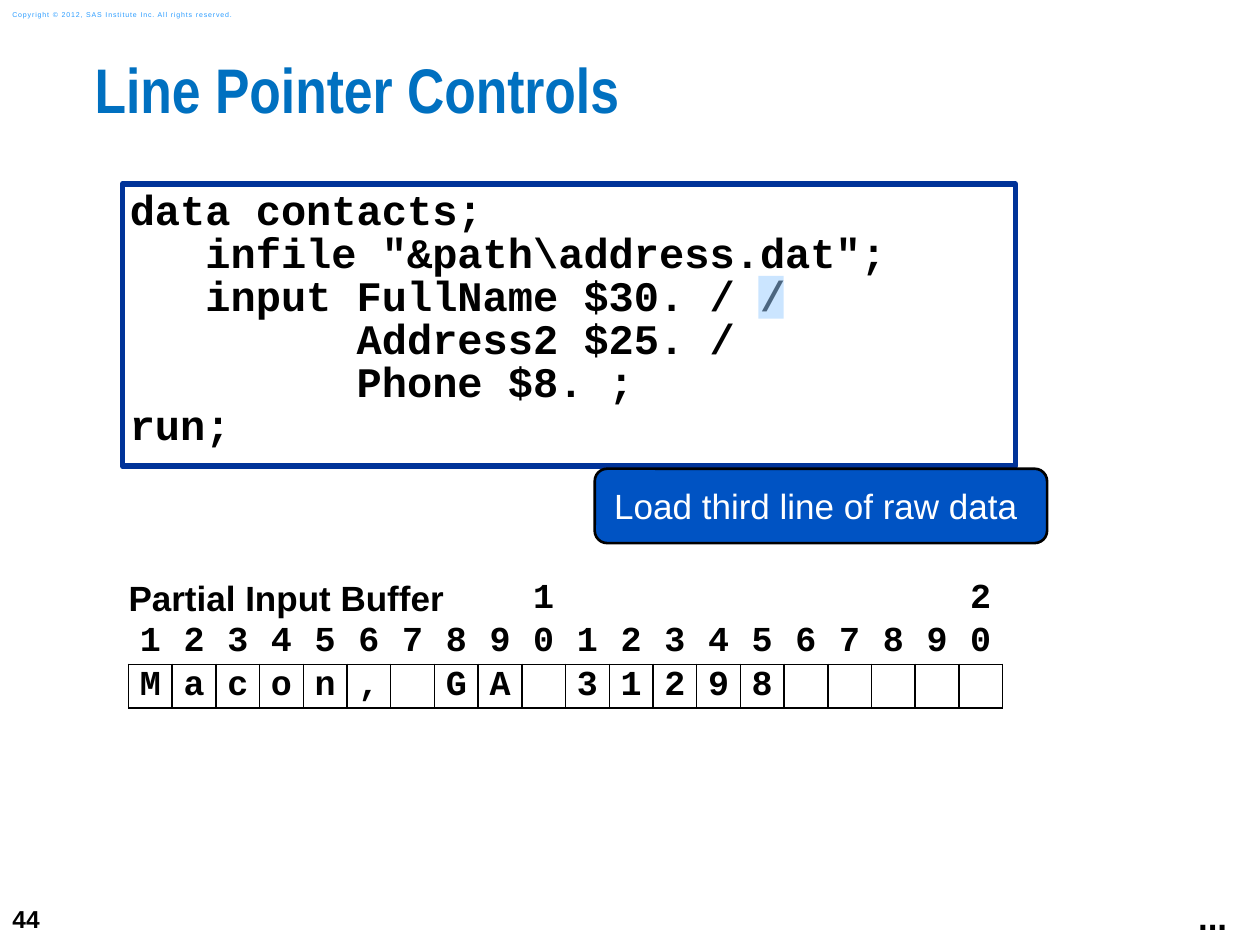
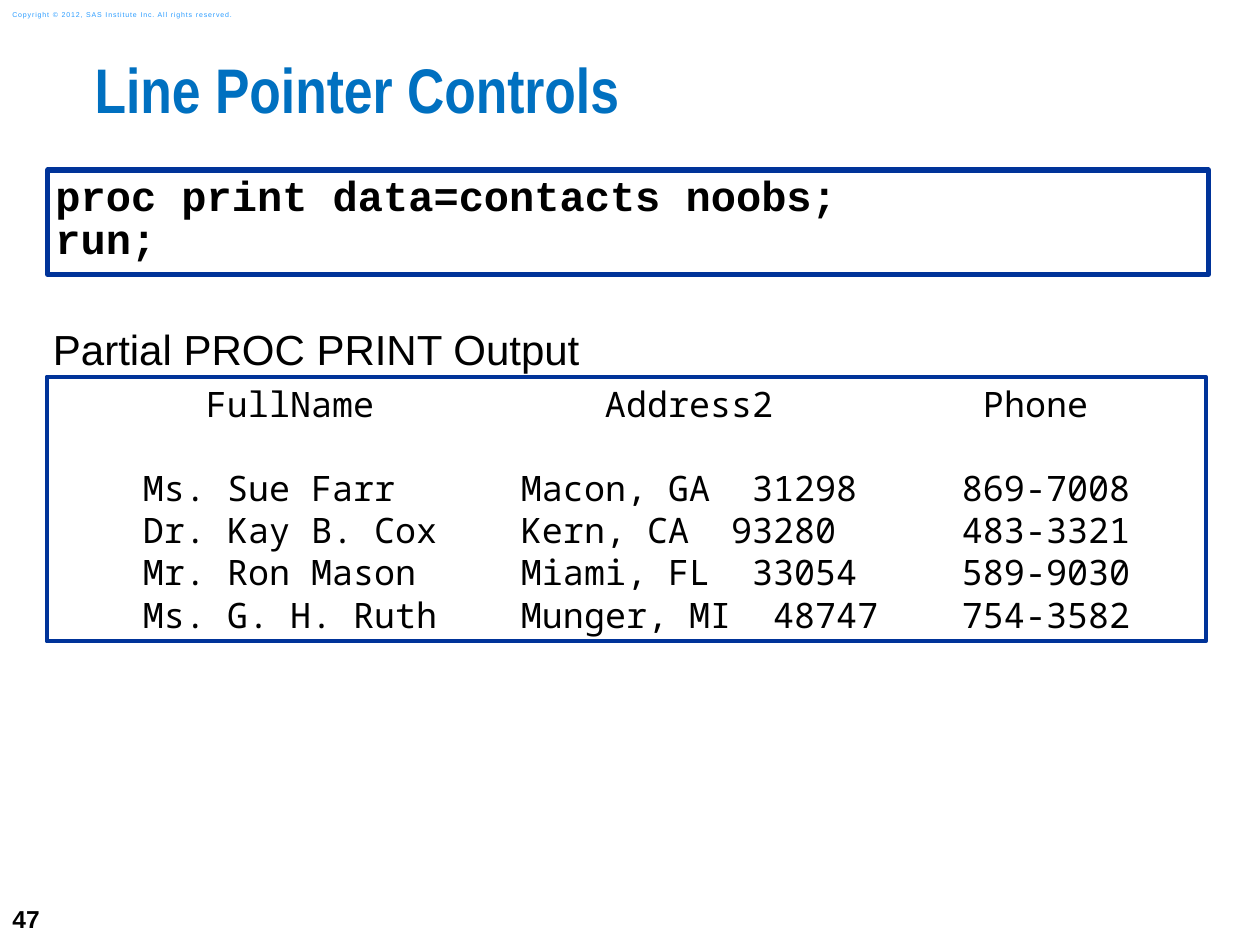
"""Build two slides on line pointer controls."""
import pptx
import pptx.dml.color
import pptx.enum.shapes
import pptx.enum.text
import pptx.oxml
import pptx.oxml.ns
import pptx.util
from lxml import etree

Inches = pptx.util.Inches
Pt = pptx.util.Pt
SHAPE = pptx.enum.shapes.MSO_SHAPE
ALIGN = pptx.enum.text.PP_ALIGN
ANCHOR = pptx.enum.text.MSO_ANCHOR
qn = pptx.oxml.ns.qn

COLORS = {
    "text": "000000",
    "white": "FFFFFF",
    "title": "0070C0",
    "copyright": "2A9CFF",
    "frame": "003399",
    "callout": "0053C3",
    "highlight": "99CCFF",
}
CODE_FONT = "Courier New"
COPYRIGHT = "Copyright © 2012, SAS Institute Inc. All rights reserved."
CODE_INSET = (0.06, 0.06, 0.06, 0.06)
NO_INSET = (0, 0, 0, 0)

INPUT_STEP = r'''data contacts;
   infile "&path\address.dat";
   input FullName $30. / /
         Address2 $25. /
         Phone $8. ;
run;'''
PRINT_STEP = """proc print data=contacts noobs;
run;"""
CONTACTS = [
    ("Ms. Sue Farr", "Macon, GA  31298", "869-7008"),
    ("Dr. Kay B. Cox", "Kern, CA  93280", "483-3321"),
    ("Mr. Ron Mason", "Miami, FL  33054", "589-9030"),
    ("Ms. G. H. Ruth", "Munger, MI  48747", "754-3582"),
]


def rgb(name):
    return pptx.dml.color.RGBColor.from_string(COLORS[name])


class Deck:
    """Hold the shared style and the current slide."""

    def __init__(self):
        self.prs = pptx.Presentation()
        self.prs.slide_width = Inches(10)
        self.prs.slide_height = Inches(7.5)
        self.s = None

    def slide(self, title, number):
        self.s = self.prs.slides.add_slide(self.prs.slide_layouts[6])
        self.text(str(number), (0, 7.08, 0.58, 0.42), 14, bold=True, anchor=ANCHOR.MIDDLE)
        sp = self.text(COPYRIGHT, (0, 0.03, 2.11, 0.17), 4, color="copyright", anchor=ANCHOR.MIDDLE)
        sp.text_frame.paragraphs[0].runs[0]._r.get_or_add_rPr().set("spc", "50")
        self.text(title, (0.75, 0.5, 9.25, 0.74), 36, font="Arial Narrow", color="title",
                  bold=True, inset=NO_INSET, spacing=0.83)

    def format(self, tf, size, font="Arial", color="text", bold=False, align=ALIGN.LEFT, spacing=None):
        for p in tf.paragraphs:
            p.alignment = align
            p.line_spacing = spacing
            for r in p.runs:
                r.font.size = Pt(size)
                r.font.name = font
                r.font.bold = bold
                r.font.color.rgb = rgb(color)

    def fill_text(self, sp, text, size, inset=(0.1, 0.05, 0.1, 0.05), anchor=ANCHOR.TOP, **style):
        tf = sp.text_frame
        tf.word_wrap = True
        tf.vertical_anchor = anchor
        tf.margin_left, tf.margin_top, tf.margin_right, tf.margin_bottom = map(Inches, inset)
        tf.text = text
        self.format(tf, size, **style)

    def text(self, text, box, size, **style):
        sp = self.s.shapes.add_textbox(*map(Inches, box))
        self.fill_text(sp, text, size, **style)
        return sp

    def shape(self, kind, box, fill, line=None, width=0):
        sp = self.s.shapes.add_shape(kind, *map(Inches, box))
        sp.shadow.inherit = False
        sp.fill.solid()
        sp.fill.fore_color.rgb = rgb(fill)
        if line:
            sp.line.color.rgb = rgb(line)
            sp.line.width = Pt(width)
        else:
            sp.line.fill.background()
        return sp

    def code(self, text, box):
        sp = self.shape(SHAPE.RECTANGLE, box, "white", "frame", 3)
        self.fill_text(sp, text, 24, inset=CODE_INSET, font=CODE_FONT, bold=True, spacing=0.85)

    def callout(self, text, box):
        sp = self.shape(SHAPE.ROUNDED_RECTANGLE, box, "callout", "text", 1.5)
        self.fill_text(sp, text, 20, anchor=ANCHOR.MIDDLE, color="white", align=ALIGN.CENTER)

    def highlight(self, box):
        sp = self.shape(SHAPE.RECTANGLE, box, "highlight")
        clr = sp.fill._xPr.find(qn("a:solidFill"))[0]
        etree.SubElement(clr, qn("a:alpha")).set("val", "50000")

    def listing(self, header, rows, box):
        sp = self.shape(SHAPE.RECTANGLE, box, "white", "frame", 2.25)
        lines = ["\t" + "\t".join(row) for row in [header, *rows]]
        self.fill_text(sp, "\n".join(lines), 20, inset=(0.1, 0.05, 0.1, 0.02), font="Noto Sans Mono")
        paragraphs = sp.text_frame.paragraphs
        for i, p in enumerate(paragraphs):
            tabs = etree.SubElement(p._p.get_or_add_pPr(), qn("a:tabLst"))
            for column in (4, 22, 43) if i else (7, 26, 44):
                tab = etree.SubElement(tabs, qn("a:tab"))
                tab.set("pos", str(Inches(column / 6)))
                tab.set("algn", "l")
        paragraphs[1].space_before = Pt(24)

    def borders(self, cell, sides):
        tcPr = cell._tc.get_or_add_tcPr()
        for i, side in enumerate("LRTB"):
            ln = etree.Element(qn("a:ln" + side), w=str(Pt(1)))
            if side in sides:
                fill = etree.SubElement(ln, qn("a:solidFill"))
                etree.SubElement(fill, qn("a:srgbClr")).set("val", COLORS["text"])
            else:
                etree.SubElement(ln, qn("a:noFill"))
            tcPr.insert(i, ln)

    def buffer(self, label, content, box):
        n = len(content)
        tens = [label] + [str(i // 10) if i % 10 == 0 else "" for i in range(2, n + 1)]
        units = [str(i % 10) for i in range(1, n + 1)]
        rows = [tens, units, content]
        tbl = self.s.shapes.add_table(3, n, *map(Inches, box)).table
        tbl.first_row = tbl.horz_banding = False
        for column in tbl.columns:
            column.width = Inches(box[2] / n)
        for row in tbl.rows:
            row.height = Inches(box[3] / 3)
        for y, (values, sides) in enumerate(zip(rows, ("", "B", "LRTB"))):
            for x, value in enumerate(values):
                cell = tbl.cell(y, x)
                cell.margin_left = cell.margin_right = cell.margin_top = cell.margin_bottom = 0
                cell.vertical_anchor = ANCHOR.MIDDLE
                cell.fill.background()
                self.borders(cell, sides)
                cell.text = value.strip()
                self.format(cell.text_frame, 20, font=CODE_FONT, bold=True, align=ALIGN.CENTER)
        tbl.cell(0, 0).merge(tbl.cell(0, 8))
        self.format(tbl.cell(0, 0).text_frame, 20, bold=True)


def main():
    d = Deck()

    d.slide("Line Pointer Controls", 44)
    d.text("...", (9.41, 7.06, 0.43, 0.44), 20, inset=(0, 0.05, 0, 0.05), bold=True, align=ALIGN.CENTER)
    d.code(INPUT_STEP, (0.97, 1.46, 7.09, 2.24))
    d.callout("Load third line of raw data ", (4.72, 3.72, 3.59, 0.59))
    d.buffer("Partial Input Buffer", "Macon, GA 31298".ljust(20), (1.02, 4.58, 6.94, 1.04))
    d.highlight((6.02, 2.19, 0.2, 0.34))

    d.slide("Line Pointer Controls", 47)
    d.listing(("FullName", "Address2", "Phone"), CONTACTS, (0.37, 2.99, 9.2, 2.1))
    d.text("Partial PROC PRINT Output", (0.4, 2.57, 4.22, 0.4), 24, inset=NO_INSET,
           anchor=ANCHOR.MIDDLE, align=ALIGN.CENTER)
    d.code(PRINT_STEP, (0.38, 1.35, 9.21, 0.83))

    d.prs.save("out.pptx")


if __name__ == "__main__":
    main()
